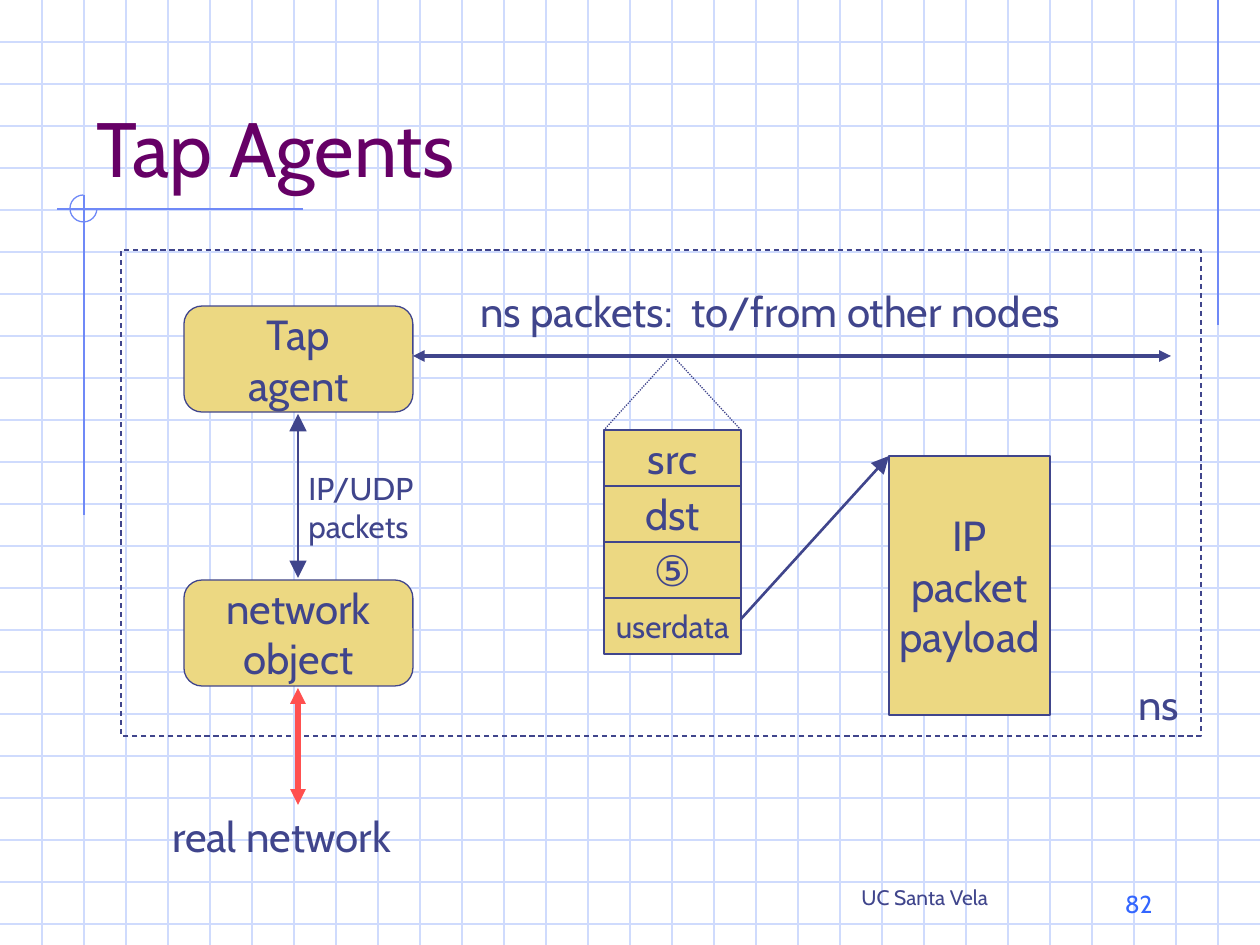
from lxml import etree
from pptx import Presentation
from pptx import util as u
from pptx.dml.color import RGBColor
from pptx.enum import dml, shapes, text
from pptx.oxml.ns import qn

EMU_PER_PX = 914400 / 126
WIDTH, HEIGHT, GRID = 1260, 945, 42
COLORS = {
    "grid": "CFDBFD",
    "accent": "6F89F7",
    "ink": "40458C",
    "title": "660066",
    "number": "3366FF",
    "box": "ECD882",
    "red": "FF5050",
}
ALIGN = text.PP_ALIGN
ANCHOR = text.MSO_ANCHOR
DASH = dml.MSO_LINE
SHAPE = shapes.MSO_SHAPE


def px(n):
    return u.Emu(round(n * EMU_PER_PX))


def rgb(name):
    return RGBColor.from_string(COLORS[name])


def write(tf, content, size=24, color="ink", font="Cabin", align=ALIGN.LEFT,
          anchor=ANCHOR.MIDDLE, wrap=False):
    tf.word_wrap = wrap
    tf.vertical_anchor = anchor
    for i, line in enumerate(content.split("\n")):
        p = tf.paragraphs[0] if i == 0 else tf.add_paragraph()
        p.alignment = align
        r = p.add_run()
        r.text = line
        r.font.size = u.Pt(size)
        r.font.name = font
        r.font.color.rgb = rgb(color)


class Deck:
    def __init__(self):
        self.prs = Presentation()
        self.prs.slide_width, self.prs.slide_height = px(WIDTH), px(HEIGHT)
        self.s = self.prs.slides.add_slide(self.prs.slide_layouts[6])

    def stroke(self, line, color, width, dash):
        line.color.rgb = rgb(color)
        line.width = u.Pt(width)
        if dash:
            line.dash_style = dash

    def line(self, x1, y1, x2, y2, color="ink", width=0.75, dash=None,
             ends=(), head_size="med"):
        c = self.s.shapes.add_connector(
            shapes.MSO_CONNECTOR.STRAIGHT, px(x1), px(y1), px(x2), px(y2))
        self.stroke(c.line, color, width, dash)
        ln = c.line._get_or_add_ln()
        for end in ends:
            etree.SubElement(ln, qn("a:" + end), type="triangle",
                             w=head_size, len=head_size)
        etree.SubElement(c._element.spPr, qn("a:effectLst"))

    def shape(self, kind, x, y, w, h, content="", fill="box", color="ink",
              dash=None, adjust=(), **fmt):
        sp = self.s.shapes.add_shape(kind, px(x), px(y), px(w), px(h))
        sp.shadow.inherit = False
        for i, value in enumerate(adjust):
            sp.adjustments[i] = value
        if fill:
            sp.fill.solid()
            sp.fill.fore_color.rgb = rgb(fill)
        else:
            sp.fill.background()
        self.stroke(sp.line, color, 0.75, dash)
        if content:
            write(sp.text_frame, content, align=ALIGN.CENTER, **fmt)

    def label(self, x, y, w, h, content, **fmt):
        sp = self.s.shapes.add_textbox(px(x), px(y), px(w), px(h))
        write(sp.text_frame, content, **fmt)


def draw_background(deck):
    for y in range(GRID, HEIGHT, GRID):
        deck.line(0, y, WIDTH, y, "grid")
    for x in range(GRID, WIDTH, GRID):
        deck.line(x, 0, x, HEIGHT, "grid")
    deck.line(1218, 0, 1218, 325, "accent")
    deck.line(303, 209, 57, 209, "accent")
    deck.line(84, 195, 84, 515, "accent")
    deck.shape(SHAPE.ARC, 70, 195, 27, 27, fill=None, color="accent",
               adjust=(0, 162))


def draw_text(deck):
    deck.label(903, 878, 262, 47, "82", size=14, color="number",
               align=ALIGN.RIGHT, anchor=ANCHOR.BOTTOM, wrap=True)
    deck.label(849, 878, 165, 38, "UC Santa Vela", size=12)
    deck.label(84, 42, 1071, 157, "Tap Agents", size=44, color="title",
               anchor=ANCHOR.BOTTOM, wrap=True)
    deck.label(468, 279, 669, 63, "ns packets:  to/from other nodes")
    deck.label(1126, 672, 72, 63, "ns")
    deck.label(160, 804, 275, 63, "real network")
    deck.label(296, 463, 139, 88, "IP/UDP\npackets", size=18)


def draw_diagram(deck):
    both = ("headEnd", "tailEnd")
    deck.shape(SHAPE.RECTANGLE, 121, 250, 1080, 486, fill=None,
               dash=DASH.DASH)
    for y, name in ((306, "Tap\nagent"), (580, "network\nobject")):
        deck.shape(SHAPE.ROUNDED_RECTANGLE, 184, y, 229, 106, name,
                   adjust=(0.17,))

    fields = (("src", {}), ("dst", {}), ("⑤", {"font": "Arial"}),
              ("userdata", {"size": 18}))
    for i, (name, fmt) in enumerate(fields):
        deck.shape(SHAPE.RECTANGLE, 604, 430 + 56 * i, 137, 56, name, **fmt)
    deck.shape(SHAPE.RECTANGLE, 889, 456, 161, 259, "IP\npacket\npayload")

    for corner in (604, 741):
        deck.line(672, 355, corner, 430, dash=DASH.ROUND_DOT)
    deck.line(413, 356, 1171, 356, width=2.25, ends=both)
    deck.line(741, 619, 889, 456, width=1.5, ends=("tailEnd",),
              head_size="lg")
    deck.line(298, 414, 298, 578, ends=both, head_size="lg")
    deck.line(298, 688, 298, 805, "red", 3, ends=both)


def main():
    deck = Deck()
    draw_background(deck)
    draw_text(deck)
    draw_diagram(deck)
    deck.prs.save("out.pptx")


if __name__ == "__main__":
    main()
